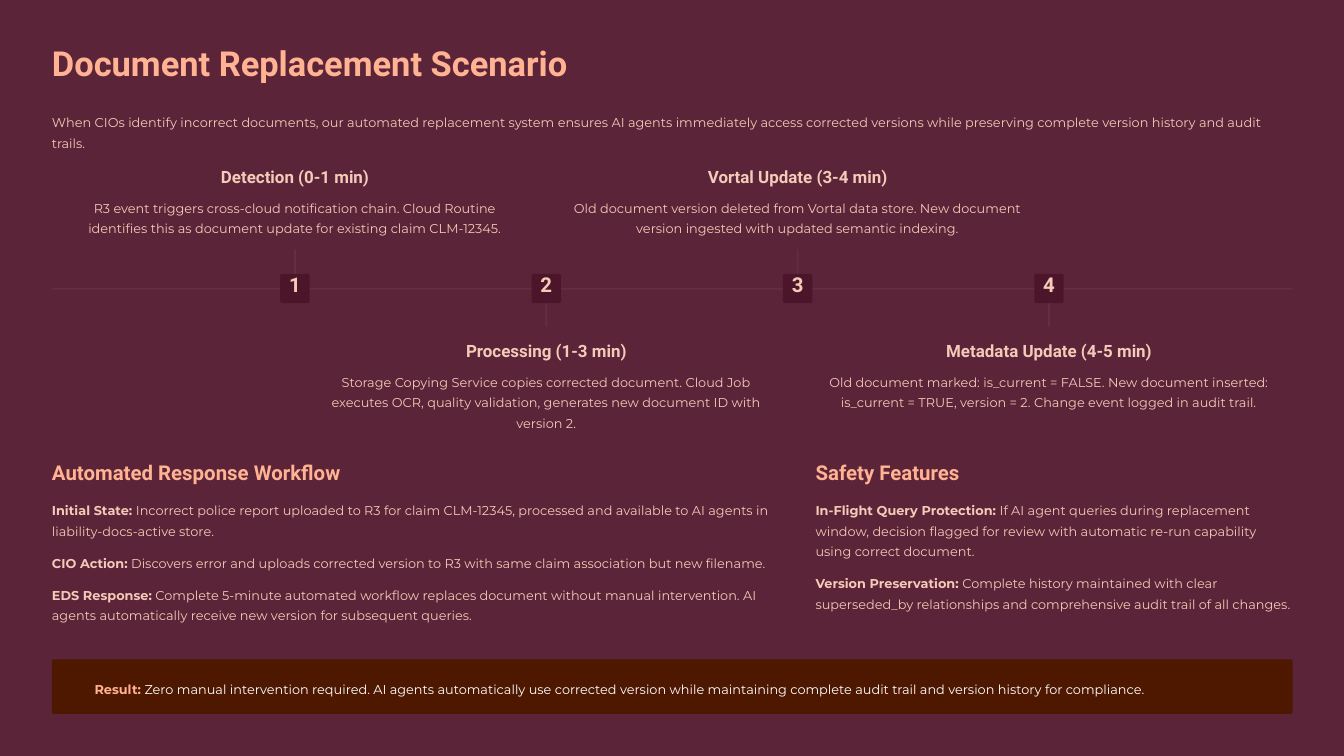
from pptx import Presentation
from pptx.dml.color import RGBColor
from pptx.enum.shapes import MSO_SHAPE as Shape
from pptx.enum.text import MSO_ANCHOR as Anchor, MSO_AUTO_SIZE as AutoSize, PP_ALIGN as Align
from pptx.util import Cm, Pt
from lxml.etree import SubElement
from pptx.oxml.ns import qn

COLORS = {
    "wine": "5C2438",
    "line": "662E42",
    "badge": "4D1529",
    "peach": "FFB393",
    "blush": "F4CAB8",
    "brown": "4D1700",
    "white": "FFFFFF",
}
STYLES = {
    "title": {"name": "Roboto", "size": Pt(29.5), "bold": True, "color": "peach", "line": 36.5},
    "section": {"name": "Roboto", "size": Pt(17.5), "bold": True, "color": "peach", "line": 22},
    "number": {"name": "Roboto", "size": Pt(17.5), "bold": True, "color": "blush", "line": 17.5},
    "stage": {"name": "Roboto", "size": Pt(14.5), "bold": True, "color": "blush", "line": 18},
    "body": {"name": "Montserrat", "size": Pt(11), "bold": False, "color": "blush", "line": 17.5},
}


def write(box, paragraphs, style, align=Align.LEFT, gap=0, lead="blush", **frame_format):
    frame = box.text_frame
    settings = {"word_wrap": True, "auto_size": AutoSize.NONE, "vertical_anchor": Anchor.TOP,
                "margin_left": 0, "margin_top": 0, "margin_right": 0, "margin_bottom": 0}
    for key, value in (settings | frame_format).items():
        setattr(frame, key, value)
    look = STYLES[style]
    for index, parts in enumerate(paragraphs):
        para = frame.paragraphs[0] if index == 0 else frame.add_paragraph()
        spacing = {"alignment": align, "line_spacing": Pt(look["line"]),
                   "space_before": Pt(gap if index else 0), "space_after": Pt(0)}
        for key, value in spacing.items():
            setattr(para, key, value)
        if box.is_placeholder:
            properties = para._p.get_or_add_pPr()
            properties.set("marL", "0")
            properties.set("indent", "0")
            SubElement(properties, qn("a:buNone"))
        for position, text in enumerate(parts):
            is_lead = len(parts) > 1 and position == 0
            span = para.add_run()
            span.text = text
            for key in ("name", "size", "bold"):
                setattr(span.font, key, look[key])
            color = look["color"]
            if is_lead:
                span.font.bold = True
                color = lead
            elif lead == "peach":
                color = "white"
            span.font.color.rgb = RGBColor.from_string(COLORS[color])


def add_block(left, top, width, height, color, rounding):
    block = page.shapes.add_shape(Shape.ROUNDED_RECTANGLE, Cm(left), Cm(top), Cm(width), Cm(height))
    block.adjustments[0] = rounding
    block.fill.solid()
    block.fill.fore_color.rgb = RGBColor.from_string(COLORS[color])
    block.line.fill.background()
    block.shadow.inherit = False
    return block


deck = Presentation()
deck.slide_width, deck.slide_height = Cm(40.64), Cm(22.86)
page = deck.slides.add_slide(deck.slide_layouts.get_by_name("Comparison"))
page.background.fill.solid()
page.background.fill.fore_color.rgb = RGBColor.from_string(COLORS["wine"])

LEFT, WIDTH = 1.57, 37.52
RIGHT_COLUMN = 24.66
SECTION_TOP, LIST_TOP = 13.89, 15.06

workflow = [
    ("Initial State:", " Incorrect police report uploaded to R3 for claim CLM-12345, processed and available to AI agents in liability-docs-active store."),
    ("CIO Action:", " Discovers error and uploads corrected version to R3 with same claim association but new filename."),
    ("EDS Response:", " Complete 5-minute automated workflow replaces document without manual intervention. AI agents automatically receive new version for subsequent queries."),
]
safety = [
    ("In-Flight Query Protection:", " If AI agent queries during replacement window, decision flagged for review with automatic re-run capability using correct document."),
    ("Version Preservation:", " Complete history maintained with clear superseded_by relationships and comprehensive audit trail of all changes."),
]
placeholder_texts = [
    (0, LEFT, 1.24, WIDTH, 1.3, [("Document Replacement Scenario",)], "title"),
    (1, LEFT, SECTION_TOP, 22.12, 0.79, [("Automated Response Workflow",)], "section"),
    (2, LEFT, LIST_TOP, 22.12, 3.8, workflow, "body"),
    (3, RIGHT_COLUMN, SECTION_TOP, 14.43, 0.79, [("Safety Features",)], "section"),
    (4, RIGHT_COLUMN, LIST_TOP, 14.43, 4.1, safety, "body"),
]
holders = {holder.placeholder_format.idx: holder for holder in page.placeholders}
for idx, left, top, width, height, paragraphs, style in placeholder_texts:
    holder = holders[idx]
    place = {"left": left, "top": top, "width": width, "height": height}
    for key, value in place.items():
        setattr(holder, key, Cm(value))
    write(holder, paragraphs, style, gap=10)

intro = page.shapes.add_textbox(Cm(LEFT), Cm(3.33), Cm(WIDTH), Cm(1.24))
write(intro, [("When CIOs identify incorrect documents, our automated replacement system ensures AI agents immediately access corrected versions while preserving complete version history and audit trails.",)], "body")

AXIS_TOP, AXIS_THICKNESS = 8.71, 0.05
FIRST_CENTER, STAGE_STEP = 8.92, 7.6
STEM, BADGE, CARD_WIDTH = 1.17, 0.89, 13.92
stages = [
    ("Detection (0-1 min)", "R3 event triggers cross-cloud notification chain. Cloud Routine identifies this as document update for existing claim CLM-12345."),
    ("Processing (1-3 min)", "Storage Copying Service copies corrected document. Cloud Job executes OCR, quality validation, generates new document ID with version 2."),
    ("Vortal Update (3-4 min)", "Old document version deleted from Vortal data store. New document version ingested with updated semantic indexing."),
    ("Metadata Update (4-5 min)", "Old document marked: is_current = FALSE. New document inserted: is_current = TRUE, version = 2. Change event logged in audit trail."),
]
add_block(LEFT, AXIS_TOP, WIDTH, AXIS_THICKNESS, "line", 0.5)
for index, (heading, detail) in enumerate(stages):
    center = FIRST_CENTER + index * STAGE_STEP
    above = index % 2 == 0
    stem_top = AXIS_TOP - STEM if above else AXIS_TOP
    card_top = 5.03 if above else 10.29
    add_block(center - AXIS_THICKNESS / 2, stem_top, AXIS_THICKNESS, STEM, "line", 0.5)
    badge = add_block(center - BADGE / 2, 8.28, BADGE, BADGE, "badge", 0.07)
    write(badge, [(str(index + 1),)], "number", Align.CENTER, margin_top=Cm(0.05))
    for text, style, offset, height in ((heading, "stage", 0, 0.66), (detail, "body", 0.89, 1.88)):
        box = page.shapes.add_textbox(Cm(center - CARD_WIDTH / 2), Cm(card_top + offset), Cm(CARD_WIDTH), Cm(height))
        write(box, [(text,)], style, Align.CENTER)

result = add_block(LEFT, 19.94, WIDTH, 1.65, "brown", 0.04)
write(result, [("Result:", " Zero manual intervention required. AI agents automatically use corrected version while maintaining complete audit trail and version history for compliance.")],
      "body", lead="peach", margin_left=Cm(1.27), vertical_anchor=Anchor.MIDDLE)

deck.save("out.pptx")
